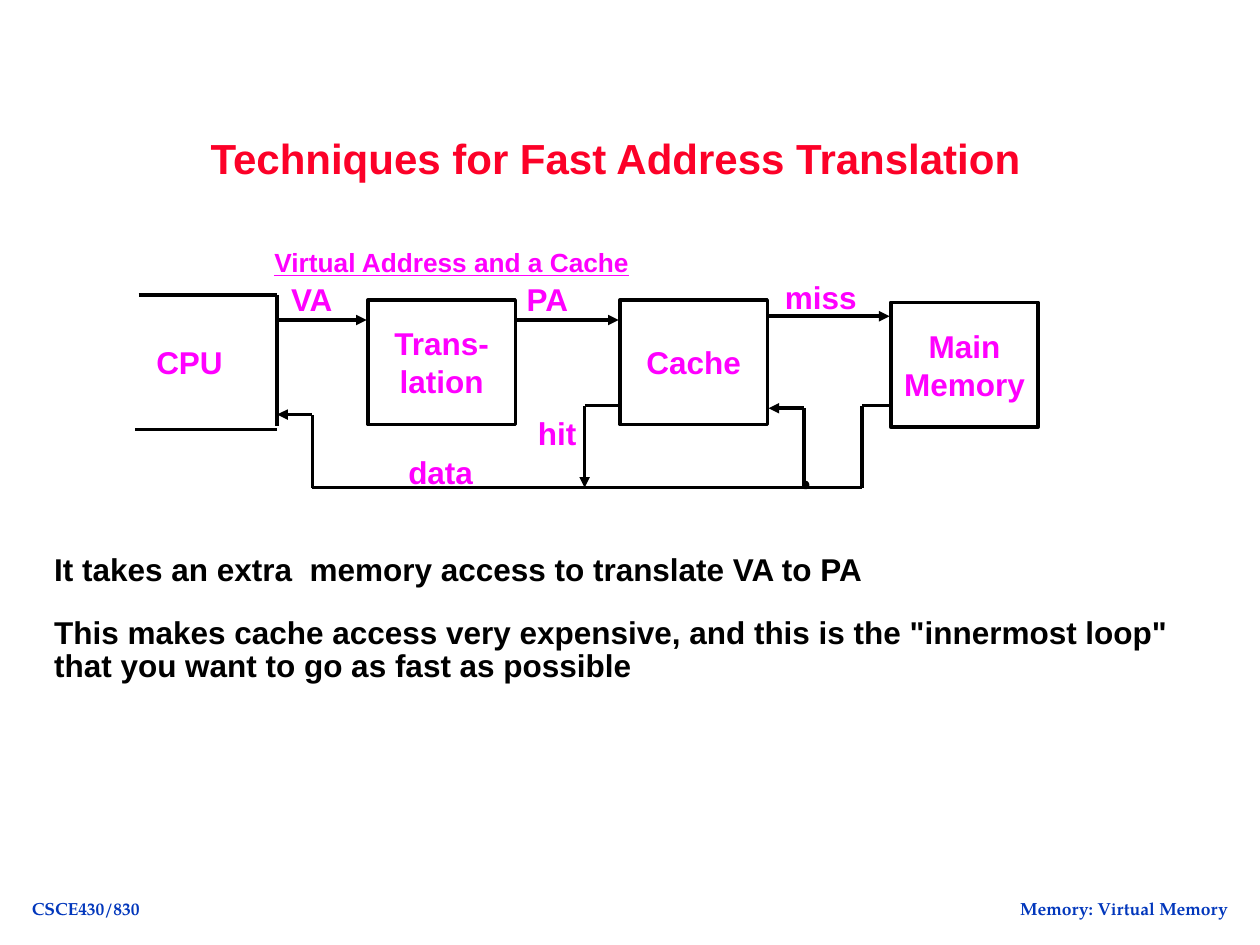
"""Builds the slide on fast address translation with a virtual memory cache diagram."""
from itertools import pairwise

from lxml.etree import SubElement
from pptx import Presentation
from pptx.dml.color import RGBColor
from pptx.enum.shapes import MSO_CONNECTOR as CONNECTOR, MSO_SHAPE as SHAPE
from pptx.enum.text import MSO_ANCHOR as ANCHOR, PP_ALIGN as ALIGN
from pptx.oxml.ns import qn
from pptx.util import Inches, Pt

COLORS = {"title": "FC0128", "label": "FF00FF", "line": "000000",
          "body": "000000", "footer": "0237BC", "junction": "618FFD"}


def write_text(shape, lines, color, size=18, align=ALIGN.CENTER, spacing=None,
               margins=(0.1, 0.05), anchor=ANCHOR.TOP, wrap=False, gap=0,
               font="Arial", underline=None):
    frame = shape.text_frame
    side, edge = map(Inches, margins)
    frame_format = {"margin_left": side, "margin_right": side, "margin_top": edge,
                    "margin_bottom": edge, "vertical_anchor": anchor, "word_wrap": wrap}
    for name, value in frame_format.items():
        setattr(frame, name, value)
    frame.text = "\n".join(lines)
    font_format = {"name": font, "size": Pt(size), "bold": True, "underline": underline}
    for index, paragraph in enumerate(frame.paragraphs):
        paragraph.alignment = align
        paragraph.line_spacing = spacing
        paragraph.space_before = Pt(gap if index else 0)
        for name, value in font_format.items():
            setattr(paragraph.font, name, value)
        paragraph.font.color.rgb = RGBColor.from_string(COLORS[color])


def draw_line(start, end, arrow):
    connector = slide.shapes.add_connector(
        CONNECTOR.STRAIGHT, *map(Inches, (*start, *end)))
    connector.line.color.rgb = RGBColor.from_string(COLORS["line"])
    connector.line.width = Pt(2)
    if arrow:
        SubElement(connector.line._get_or_add_ln(), qn("a:tailEnd"), type="triangle")
    SubElement(connector._element.spPr, qn("a:effectLst"))


presentation = Presentation()
presentation.slide_width, presentation.slide_height = Inches(10), Inches(7.5)
slide = presentation.slides.add_slide(presentation.slide_layouts[5])

subtitle = slide.shapes.title
subtitle_place = {"left": 0.92, "top": 1.92, "width": 5.33, "height": 0.36}
for name, value in subtitle_place.items():
    setattr(subtitle, name, Inches(value))
write_text(subtitle, ["Virtual Address and a Cache"], "label", size=15, spacing=0.85,
           anchor=ANCHOR.MIDDLE, wrap=True, underline=True)

boxes = [(2.92, 2.38, ["Trans-", "lation"]),
         (4.92, 2.38, ["Cache"]),
         (7.07, 2.4, ["Main", "Memory"])]
for left, top, lines in boxes:
    box = slide.shapes.add_shape(
        SHAPE.RECTANGLE, *map(Inches, (left, top, 1.17, 0.99)))
    box.shadow.inherit = False
    box.fill.background()
    box.line.color.rgb = RGBColor.from_string(COLORS["line"])
    box.line.width = Pt(2)
    write_text(box, lines, "label", anchor=ANCHOR.MIDDLE)

routes = [
    ([(1.1, 2.34), (2.2, 2.34), (2.2, 3.38)], False),
    ([(2.2, 3.41), (1.07, 3.41)], False),
    ([(2.2, 2.54), (2.91, 2.54)], True),
    ([(4.09, 2.54), (4.91, 2.54)], True),
    ([(6.09, 2.51), (7.06, 2.51)], True),
    ([(7.06, 3.22), (6.84, 3.22), (6.84, 3.87), (2.48, 3.87), (2.48, 3.29), (2.2, 3.29)], True),
    ([(6.38, 3.87), (6.38, 3.24), (6.1, 3.24)], True),
    ([(4.91, 3.22), (4.64, 3.22), (4.64, 3.87)], True),
]
for points, arrow in routes:
    for start, end in pairwise(points):
        draw_line(start, end, arrow and end == points[-1])

junction = slide.shapes.add_shape(SHAPE.OVAL, *map(Inches, (6.38, 3.83, 0.03, 0.04)))
junction.shadow.inherit = False
junction.fill.solid()
junction.fill.fore_color.rgb = RGBColor.from_string(COLORS["junction"])
junction.line.color.rgb = RGBColor.from_string(COLORS["line"])
junction.line.width = Pt(2)

label_format = {"color": "label", "align": ALIGN.LEFT, "spacing": 0.85,
                "margins": (0.07, 0.03)}
body_format = {**label_format, "color": "body", "wrap": True, "gap": 18}
title_format = {"color": "title", "size": 24, "wrap": True}
footer_format = {"color": "footer", "size": 10, "font": "TeX Gyre Pagella"}
texts = [
    ((1.17, 2.74, 0.72, 0.31), ["CPU"], label_format),
    ((2.24, 2.24, 0.54, 0.31), ["VA"], label_format),
    ((4.11, 2.24, 0.54, 0.31), ["PA"], label_format),
    ((6.16, 2.22, 0.76, 0.31), ["miss"], label_format),
    ((4.2, 3.3, 0.5, 0.31), ["hit"], label_format),
    ((3.17, 3.61, 0.72, 0.31), ["data"], label_format),
    ((0.36, 4.38, 9.22, 1.33),
     ["It takes an extra  memory access to translate VA to PA",
      'This makes cache access very expensive, and this is the "innermost loop" '
      "that you want to go as fast as possible"], body_format),
    ((1.25, 1, 7.27, 0.5), ["Techniques for Fast Address Translation"], title_format),
    ((0.15, 7.08, 1.06, 0.26), ["CSCE430/830"], footer_format),
    ((7.93, 7.08, 1.98, 0.26), ["Memory: Virtual Memory"], footer_format),
]
for place, lines, text_format in texts:
    textbox = slide.shapes.add_textbox(*map(Inches, place))
    write_text(textbox, lines, **text_format)

presentation.save("out.pptx")
